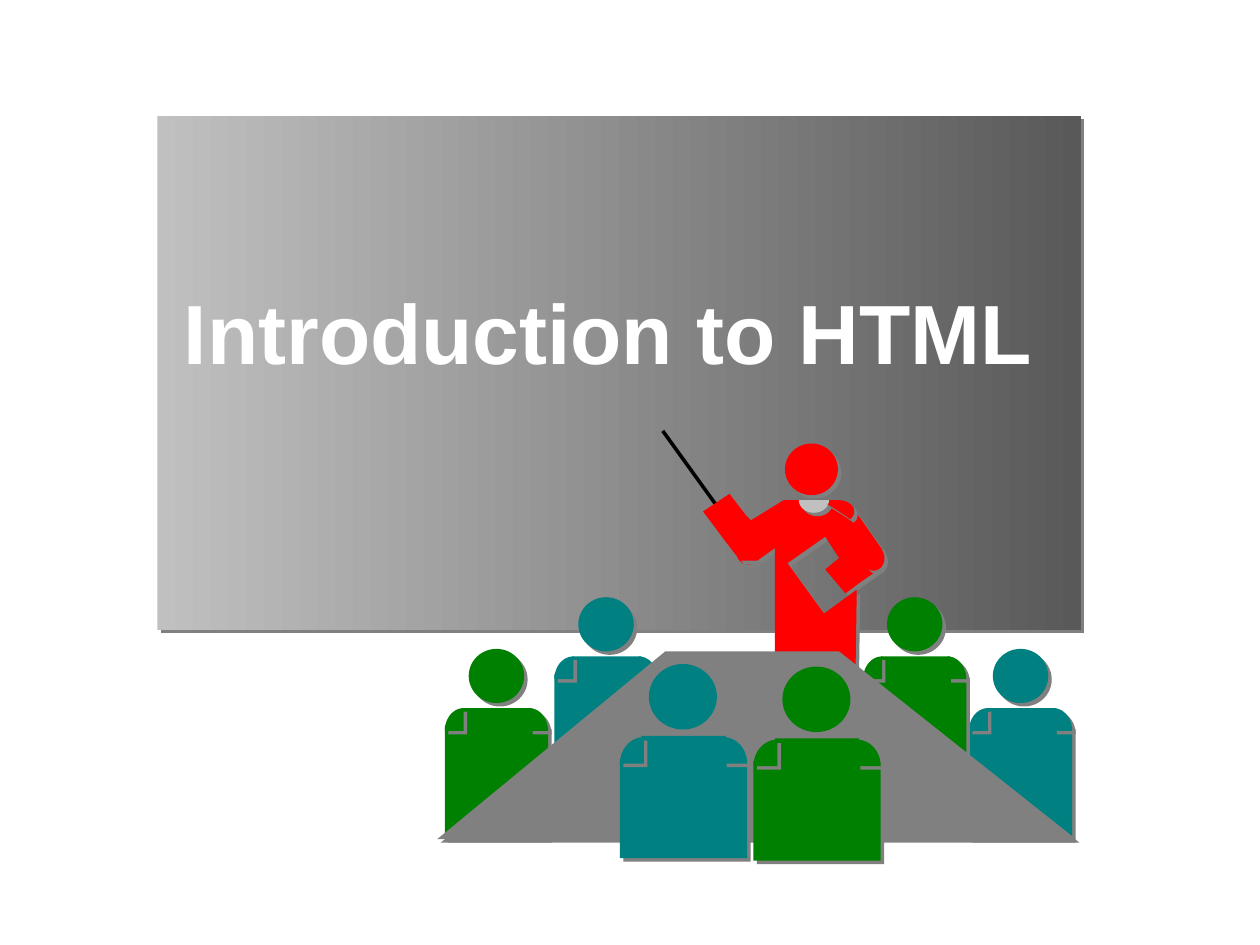
from math import cos, pi, sin
from lxml.etree import SubElement
from pptx import Presentation
from pptx.dml.color import RGBColor
from pptx.enum.shapes import MSO_CONNECTOR, MSO_SHAPE
from pptx.enum.text import MSO_ANCHOR, PP_ALIGN
from pptx.oxml.ns import qn
from pptx.util import Inches, Pt

TITLE = "Introduction to HTML"
RED, TEAL, GREEN, GREY, SILVER = "FF0000", "008080", "008000", "808080", "C0C0C0"
BOARD = (1.25, 0.92, 7.33, 4.08)
POINTER = (5.75, 4.1, 5.26, 3.42)
SUIT = [(6.58, 3.97), (6.66, 3.97), (6.77, 4.03), (7, 4.36), (6.99, 4.51), (6.83, 4.62),
        (6.71, 4.71), (6.55, 4.52), (6.61, 4.47), (6.66, 4.43), (6.55, 4.26), (6.25, 4.47),
        (6.54, 4.87), (6.8, 4.68), (6.79, 5.35), (6.15, 5.35), (6.15, 4.35), (6.01, 4.45),
        (5.88, 4.45), (5.86, 4.43), (5.76, 4.3), (5.58, 4.06), (5.79, 3.92), (5.92, 4.09),
        (5.96, 4.13), (6.22, 3.97), (6.34, 3.97)]
TABLE = [(3.47, 6.66), (5.28, 5.17), (6.66, 5.17), (8.54, 6.66)]
BACK_ROW = [(7.69, 5.62, TEAL), (6.85, 5.21, GREEN), (4.4, 5.21, TEAL), (3.53, 5.62, GREEN)]
FRONT_ROW = [(5.98, 5.87, GREEN), (4.92, 5.85, TEAL)]
BACK = {"head": (0.19, -0.47, 0.44, 0.43), "neck": (0.14, 0, 0.55, 0.22),
        "body": (0, 0.14, 0.82, 0.9), "arm": (0.15, 0.18)}
FRONT = {"head": (0.23, -0.58, 0.54, 0.52), "neck": (0.17, -0.01, 0.67, 0.27),
         "body": (0, 0.17, 1.01, 0.79), "arm": (0.19, 0.21)}

prs = Presentation()
prs.slide_width, prs.slide_height = Inches(10), Inches(7.5)
s = prs.slides.add_slide(prs.slide_layouts[5])
scene = s.shapes.add_group_shape().shapes


def rgb(value):
    return RGBColor.from_string(value)


def shade(sp):
    pr = sp._element.spPr
    for old in pr.findall(qn("a:effectLst")):
        pr.remove(old)
    shadow = SubElement(SubElement(pr, qn("a:effectLst")), qn("a:outerShdw"),
                        blurRad="0", dist="35921", dir="2700000", algn="ctr", rotWithShape="0")
    SubElement(shadow, qn("a:srgbClr"), val=GREY)


def paint(sp, color):
    sp.fill.solid()
    sp.fill.fore_color.rgb = rgb(color)
    sp.line.fill.background()
    shade(sp)
    return sp


def preset(kind, box, color):
    return paint(scene.add_shape(kind, *map(Inches, box)), color)


def outline(points, color):
    pts = [(Inches(x), Inches(y)) for x, y in points]
    fb = scene.build_freeform(*pts[0])
    fb.add_line_segments(pts[1:], close=True)
    return paint(fb.convert_to_shape(), color)


def sector(cx, cy, rx, ry, start, end, color, steps=16):
    angles = [(start + (end - start) * i / steps) * pi / 180 for i in range(steps + 1)]
    outline([(cx, cy)] + [(cx + rx * cos(a), cy + ry * sin(a)) for a in angles], color)


def listener(x, y, color, build):
    for part, kind in (("neck", MSO_SHAPE.RECTANGLE), ("body", MSO_SHAPE.RECTANGLE)):
        dx, dy, w, h = build[part]
        preset(kind, (x + dx, y + dy, w, h), color)
    rx, ry = build["arm"]
    sector(x + rx, y + ry, rx, ry, 180, 270, color)
    sector(x + build["body"][2] - rx, y + ry, rx, ry, 270, 360, color)
    dx, dy, w, h = build["head"]
    preset(MSO_SHAPE.OVAL, (x + dx, y + dy, w, h), color)


board = preset(MSO_SHAPE.RECTANGLE, BOARD, SILVER)
board.fill.gradient()
board.fill.gradient_angle = 0
for stop, color in zip(board.fill.gradient_stops, (SILVER, "595959")):
    stop.color.rgb = rgb(color)

pointer = scene.add_connector(MSO_CONNECTOR.STRAIGHT, *map(Inches, POINTER))
pointer.line.color.rgb = rgb("000000")
pointer.line.width = Pt(2)
shade(pointer)

preset(MSO_SHAPE.OVAL, (5.85, 4.33, 0.18, 0.15), RED)
preset(MSO_SHAPE.OVAL, (6.23, 3.52, 0.42, 0.41), RED)
outline(SUIT, RED)
preset(MSO_SHAPE.OVAL, (6.85, 4.33, 0.17, 0.2), RED)
sector(6.46, 3.97, 0.12, 0.1, 0, 180, SILVER)
sector(6.66, 4.06, 0.12, 0.09, -140, 42, RED)

for x, y, color in BACK_ROW:
    listener(x, y, color, BACK)
outline(TABLE, GREY)
for x, y, color in FRONT_ROW:
    listener(x, y, color, FRONT)

title = s.shapes.title
title.left, title.top, title.width, title.height = map(Inches, (1.33, 1.67, 7, 1.92))
s.shapes._spTree.append(title._element)
tf = title.text_frame
tf.word_wrap = True
tf.vertical_anchor = MSO_ANCHOR.MIDDLE
p = tf.paragraphs[0]
p.alignment = PP_ALIGN.CENTER
r = p.add_run()
r.text = TITLE
for name, value in {"name": "Arial", "size": Pt(48), "bold": True}.items():
    setattr(r.font, name, value)
r.font.color.rgb = rgb("FFFFFF")

prs.save("out.pptx")
